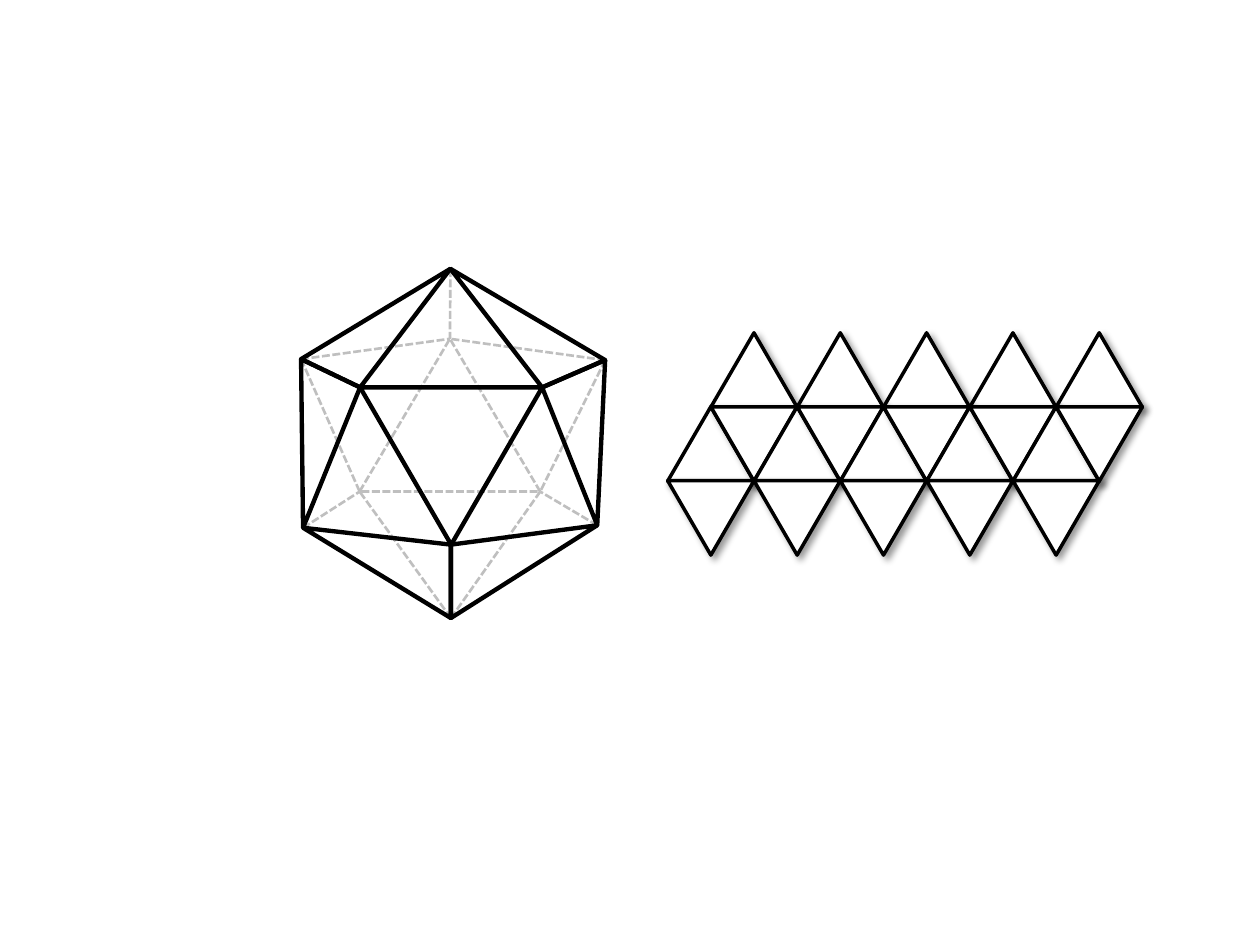
from lxml.etree import SubElement
from pptx import Presentation
from pptx.dml.color import RGBColor
from pptx.enum.dml import MSO_LINE
from pptx.enum.shapes import MSO_CONNECTOR, MSO_SHAPE
from pptx.oxml.ns import qn
from pptx.util import Cm, Pt

HIDDEN = {"width": Pt(1.5), "dash_style": MSO_LINE.SQUARE_DOT}
VISIBLE = {"width": Pt(2.5)}
NET = {"width": Pt(2)}


def style_line(line, color, formats):
    line.color.rgb = RGBColor.from_string(color)
    for name, value in formats.items():
        setattr(line, name, value)


def add_triangle(x, y, width, height, rotation, color, formats):
    triangle = slide.shapes.add_shape(
        MSO_SHAPE.ISOSCELES_TRIANGLE, Cm(x), Cm(y), Cm(width), Cm(height))
    triangle.rotation = rotation
    triangle.shadow.inherit = False
    triangle.fill.background()
    style_line(triangle.line, color, formats)
    return triangle


presentation = Presentation()
presentation.slide_width, presentation.slide_height = Cm(25.4), Cm(19.05)
slide = presentation.slides.add_slide(presentation.slide_layouts[6])

# Corners of the icosahedron, in cm
corners = {
    "top": (9.08, 5.42), "bottom": (9.09, 12.46),
    "upper left": (6.07, 7.24), "upper right": (12.2, 7.26),
    "lower left": (6.11, 10.64), "lower right": (12.04, 10.59),
    "front left": (7.26, 7.81), "front right": (10.93, 7.81),
    "front bottom": (9.09, 10.98),
    "back top": (9.07, 6.83),
    "back left": (7.25, 9.91), "back right": (10.89, 9.91),
}

# Hidden edges and the back face
hidden_edges = [
    ("bottom", "back left"), ("bottom", "back right"),
    ("upper left", "back top"), ("upper left", "back left"),
    ("upper right", "back top"), ("lower right", "back right"),
    ("upper right", "back right"), ("top", "back top"),
    ("lower left", "back left"),
]
for start, end in hidden_edges:
    ends = [Cm(value) for value in corners[start] + corners[end]]
    edge = slide.shapes.add_connector(MSO_CONNECTOR.STRAIGHT, *ends)
    style_line(edge.line, "BFBFBF", HIDDEN)
    SubElement(edge._element.spPr, qn("a:effectLst"))
add_triangle(7.25, 6.83, 3.64, 3.08, 0, "BFBFBF", HIDDEN)

# Visible side faces and the front face
side_faces = [
    ("front right", "top", "upper right"),
    ("upper left", "top", "front left"),
    ("upper left", "lower left", "front left"),
    ("front right", "upper right", "lower right"),
    ("front bottom", "lower right", "bottom"),
    ("front bottom", "lower left", "bottom"),
]
for face in side_faces:
    first, *others = [tuple(Cm(value) for value in corners[name]) for name in face]
    builder = slide.shapes.build_freeform(*first)
    builder.add_line_segments(others, close=True)
    side = builder.convert_to_shape()
    side.shadow.inherit = False
    side.fill.background()
    style_line(side.line, "000000", VISIBLE)
add_triangle(7.26, 7.81, 3.67, 3.17, 180, "000000", VISIBLE)

# Unfolded net: five tips, a band of ten, five tips pointing down
net_left, net_top = 13.46, 6.71
side_length, net_height, row_step = 1.74, 1.5, 1.49
net = [(column + 0.5, 0, 0) for column in reversed(range(5))]
net += [(step / 2, 1, 180 * (step % 2)) for step in range(10)]
net += [(column, 2, 180) for column in range(5)]
for column, row, rotation in net:
    piece = add_triangle(net_left + column * side_length, net_top + row * row_step,
                         side_length, net_height, rotation, "000000", NET)
    piece.fill.solid()
    piece.fill.fore_color.rgb = RGBColor.from_string("FFFFFF")
    effects = piece._element.spPr.find(qn("a:effectLst"))
    shadow = SubElement(effects, qn("a:outerShdw"), blurRad=str(Pt(4)),
                        dist=str(Pt(3)), dir="2700000", algn="tl", rotWithShape="0")
    black = SubElement(shadow, qn("a:srgbClr"), val="000000")
    SubElement(black, qn("a:alpha"), val="40000")

presentation.save("out.pptx")
